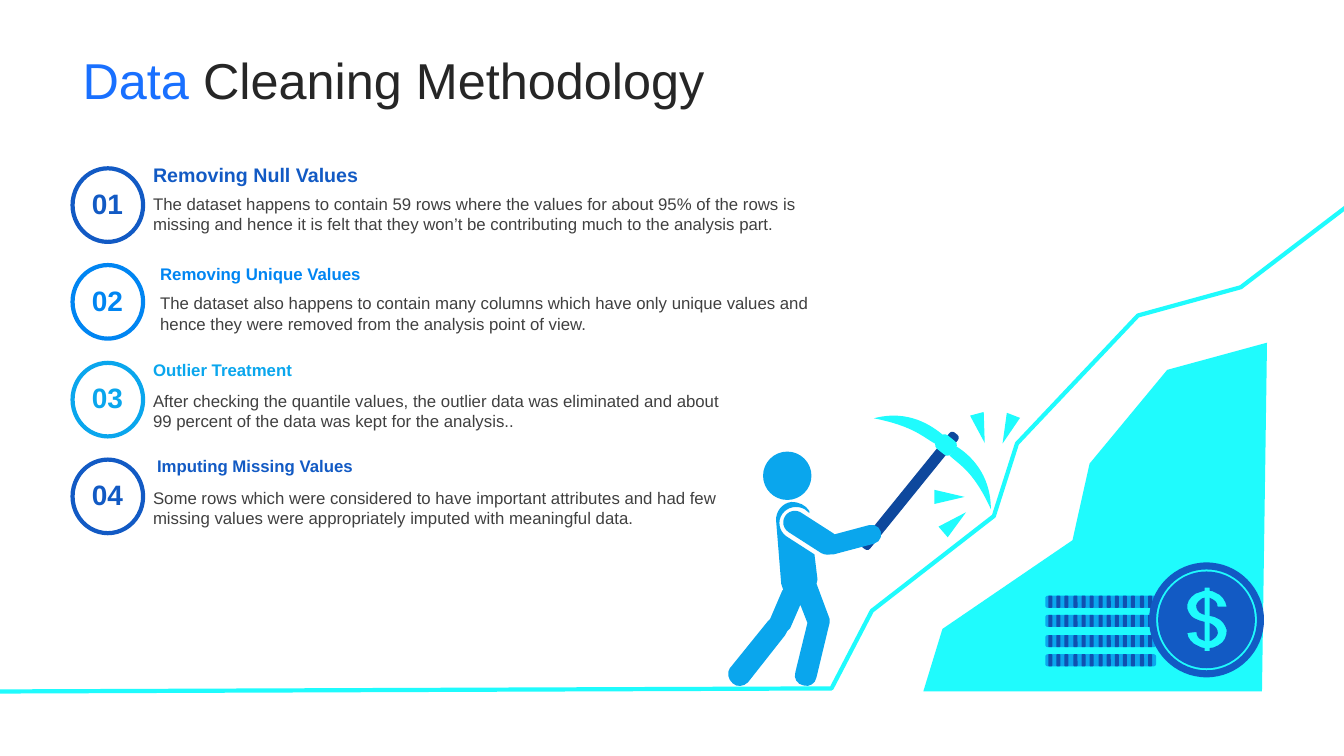
from lxml import etree
from pptx import Presentation
from pptx.dml.color import RGBColor
from pptx.enum.shapes import MSO_SHAPE as SHAPE
from pptx.enum.text import MSO_ANCHOR as ANCHOR, MSO_AUTO_SIZE as AUTO, PP_ALIGN as ALIGN
from pptx.oxml.ns import qn
from pptx.util import Pt

PX = 9144  # 100 px to the inch
FONT = "Arial"
C = {
    "accent": "1970FF", "title": "262626", "body": "404040",
    "navy": "125AC4", "blue": "0085F2", "sky": "0AA6ED",
    "cyan": "1FFBFD", "handle": "0E489D", "stripe": "1051B0",
}
STEPS = [  # colour, heading x and y, size, body x and y, width, heading, body
    ("navy", 70, -10, 14, 70, 20, 671, "Removing Null Values",
     "The dataset happens to contain 59 rows where the values for about 95% of the rows is "
     "missing and hence it is felt that they won’t be contributing much to the analysis part."),
    ("blue", 77, -6, 12, 77, 23, 671, "Removing Unique Values",
     "The dataset also happens to contain many columns which have only unique values and "
     "hence they were removed from the analysis point of view."),
    ("sky", 70, -8, 12, 70, 23, 583, "Outlier Treatment",
     "After checking the quantile values, the outlier data was eliminated and about "
     "99 percent of the data was kept for the analysis.."),
    ("navy", 74, -9, 12, 70, 23, 583, "Imputing Missing Values",
     "Some rows which were considered to have important attributes and had few "
     "missing values were appropriately imputed with meaningful data."),
]
# In outlines a pair is a line's end, and six numbers are a cubic curve.
SLOPE = [(0, 481), (825, 478), (865, 401), (986, 307), (1009, 235), (1129, 108),
         (1231, 80), (1336, 0)]
HILL = [(341, 0), (242, 27), (165, 120), (148, 196), (19, 284), (0, 346), (336, 346)]
BLADES = [
    [(82, 30), (95, 38, 116, 57, 116, 92), (99, 55, 86, 49, 75, 39)],
    [(69, 19), (57, 9, 34, -7, 0, 2), (40, 10, 49, 21, 62, 28)],
]
SPARKS = [(73, 90, 49.3), (68, 65, 90), (99, -3, 165), (126, -2, 201.1)]
BODY = [
    (61, 49), (69, 49, 75, 52, 79, 58), (79, 60), (74, 56), (66, 52, 57, 54, 52, 61),
    (47, 68, 49, 78, 56, 83), (84, 101), (87, 126), (86, 130), (99, 165), (99, 169),
    (98, 173), (86, 223), (85, 229, 79, 233, 73, 231), (67, 230, 63, 224, 65, 218),
    (77, 169), (70, 151), (60, 174), (57, 177), (55, 181), (18, 228),
    (14, 232, 7, 233, 3, 229), (-2, 225, -3, 218, 0, 214), (38, 167), (40, 165),
    (52, 137), (53, 136), (51, 130), (46, 68), (45, 59, 52, 50, 61, 49),
]
DOLLAR = [
    [(3, 3), (7, 5, 10, 7, 11, 11), (12, 14, 10, 17, 7, 19), (6, 20, 4, 21, 3, 21)],
    [(-2, -22), (-2, -5), (-6, -6, -9, -8, -10, -12), (-11, -15, -9, -18, -6, -20),
     (-5, -21, -4, -22, -2, -22)],
    [(-2, -32), (-2, -29), (-5, -28, -8, -27, -11, -26), (-17, -22, -20, -17, -19, -11),
     (-16, -1, -9, 0, -2, 2), (-2, 21), (-3, 20, -4, 20, -4, 20),
     (-8, 19, -10, 16, -10, 12), (-19, 13), (-19, 18, -14, 24, -8, 26),
     (-6, 27, -4, 28, -2, 28), (-2, 31), (3, 31), (3, 28), (6, 28, 9, 27, 12, 25),
     (18, 22, 20, 16, 20, 10), (17, 0, 10, -3, 3, -4), (3, -22), (4, -21, 4, -21, 5, -21),
     (9, -19, 11, -17, 11, -13), (20, -13), (19, -19, 15, -25, 9, -27),
     (7, -28, 5, -29, 3, -29), (3, -32)],
]


def rgb(name):
    return RGBColor.from_string(C[name])


def paint(s, fill=None, line=None):
    s.shadow.inherit = False
    if fill:
        s.fill.solid()
        s.fill.fore_color.rgb = rgb(fill)
    else:
        s.fill.background()
    if line:
        s.line.color.rgb = rgb(line)
        s.line.width = Pt(3)
    else:
        s.line.fill.background()


def add_preset(slide, kind, x, y, w, h, fill=None, line=None, rot=0, adj=None):
    s = slide.shapes.add_shape(kind, x * PX, y * PX, w * PX, h * PX)
    s.rotation = rot
    if adj is not None:
        s.adjustments[0] = adj
    paint(s, fill, line)


def add_text(slide, x, y, w, h, runs, size, bold=False, align=ALIGN.LEFT):
    """Place one paragraph made of (text, colour) runs."""
    s = slide.shapes.add_textbox(x * PX, y * PX, w * PX, h * PX)
    tf = s.text_frame
    tf.word_wrap = True
    tf.auto_size = AUTO.SHAPE_TO_FIT_TEXT
    p = tf.paragraphs[0]
    p.alignment = align
    p.font.name, p.font.size, p.font.bold = FONT, Pt(size), bold
    for text, color in runs:
        r = p.add_run()
        r.text = text
        r.font.color.rgb = rgb(color)
    return tf


def circle(cx, cy, r):
    """Outline a circle with four curves."""
    k = 0.55 * r
    return [(cx, cy - r),
            (cx + k, cy - r, cx + r, cy - k, cx + r, cy),
            (cx + r, cy + k, cx + k, cy + r, cx, cy + r),
            (cx - k, cy + r, cx - r, cy + k, cx - r, cy),
            (cx - r, cy - k, cx - k, cy - r, cx, cy - r)]


def add_outline(slide, x, y, outlines, fill=None, line=None):
    """Draw outlines as one shape, measured from (x, y); unfilled ones stay open."""
    builder = None
    for outline in outlines:
        ends = [((x + seg[-2]) * PX, (y + seg[-1]) * PX) for seg in outline]
        if builder is None:
            builder = slide.shapes.build_freeform(*ends[0])
        else:
            builder.move_to(*ends[0])
        builder.add_line_segments(ends[1:], close=fill is not None)
    s = builder.convert_to_shape()
    paint(s, fill, line)
    steps = list(s.element.iter(qn("a:lnTo")))
    segments = [seg for outline in outlines for seg in outline[1:]]
    for step, seg in zip(steps, segments):
        if len(seg) == 6:
            bend(step, seg, x * PX - s.left, y * PX - s.top)


def bend(step, curve, dx, dy):
    """Turn a straight step of a freeform into a cubic curve."""
    step.tag = qn("a:cubicBezTo")
    for i in (0, 2):
        pt = etree.Element(qn("a:pt"), x=str(round(curve[i] * PX + dx)),
                           y=str(round(curve[i + 1] * PX + dy)))
        step.insert(i // 2, pt)


def add_title(slide, x, y, w, h):
    tf = add_text(slide, x, y, w, h, [("Data", "accent"), (" Cleaning Methodology", "title")],
                  36, align=ALIGN.CENTER)
    tf.auto_size = AUTO.NONE
    tf.vertical_anchor = ANCHOR.MIDDLE
    p = tf.paragraphs[0]
    p.line_spacing, p.space_before = 0.9, Pt(10)


def add_steps(slide, x, y, pitch):
    for i, (color, head_x, head_y, size, body_x, body_y, w, heading, body) in enumerate(STEPS):
        top = y + round(i * pitch)
        add_preset(slide, SHAPE.OVAL, x, top, 70, 73, line=color)
        add_text(slide, x + 7, top + 13, 55, 44, [(f"{i + 1:02}", color)], 20, True, ALIGN.CENTER)
        head_h = 34 if size == 14 else 30
        add_text(slide, x + head_x, top + head_y, w, head_h, [(heading, color)], size, True)
        add_text(slide, x + body_x, top + body_y, w, 50, [(body, "body")], 12)


def add_mountain(slide, x, y):
    add_outline(slide, x, y, [SLOPE], line="cyan")
    add_outline(slide, x + 916, y + 135, [HILL], fill="cyan")


def add_pickaxe(slide, x, y):
    add_preset(slide, SHAPE.ROUNDED_RECTANGLE, x + 30, y + 1, 11, 146, "handle", rot=39, adj=0.34)
    add_preset(slide, SHAPE.ROUNDED_RECTANGLE, x + 62, y + 20, 19, 17, "cyan", rot=39, adj=0.28)
    for blade in BLADES:
        add_outline(slide, x, y, [blade], fill="cyan")
    for dx, dy, rot in SPARKS:
        add_preset(slide, SHAPE.ISOSCELES_TRIANGLE, x + dx, y + dy, 14, 30, "cyan", rot=rot)


def add_miner(slide, x, y):
    add_outline(slide, x, y, [BODY, circle(57, 23, 24)], fill="sky")
    for dx, dy, w, rot in ((69, 49, 23, 302.7), (111, 56, 19, 255.1)):
        add_preset(slide, SHAPE.ROUNDED_RECTANGLE, x + dx, y + dy, w, 61, "sky", rot=rot, adj=0.5)


def add_coins(slide, x, y):
    """Four striped coin edges with a dollar coin in front."""
    for row in reversed(range(4)):
        top = y + 33 + round(row * 19.4)
        add_preset(slide, SHAPE.ROUNDED_RECTANGLE, x, top, 110, 12, "sky", adj=0.2)
        for i in range(13):
            add_preset(slide, SHAPE.ROUNDED_RECTANGLE, x + 3 + round(i * 8.25), top, 4, 12,
                       "stripe", adj=0.2)
    rings = [circle(0, 0, r) for r in (57, 50, 48)]
    add_outline(slide, x + 160, y + 57, rings + DOLLAR, fill="navy")


def main():
    prs = Presentation()
    prs.slide_width, prs.slide_height = 12192000, 750 * PX
    slide = prs.slides.add_slide(prs.slide_layouts[6])
    add_title(slide, 52, 43, 677, 79)
    add_steps(slide, 72, 167, 96.4)
    add_mountain(slide, 0, 205)
    add_pickaxe(slide, 867, 413)
    add_miner(slide, 724, 449)
    add_coins(slide, 1037, 558)
    prs.save("out.pptx")


if __name__ == "__main__":
    main()
